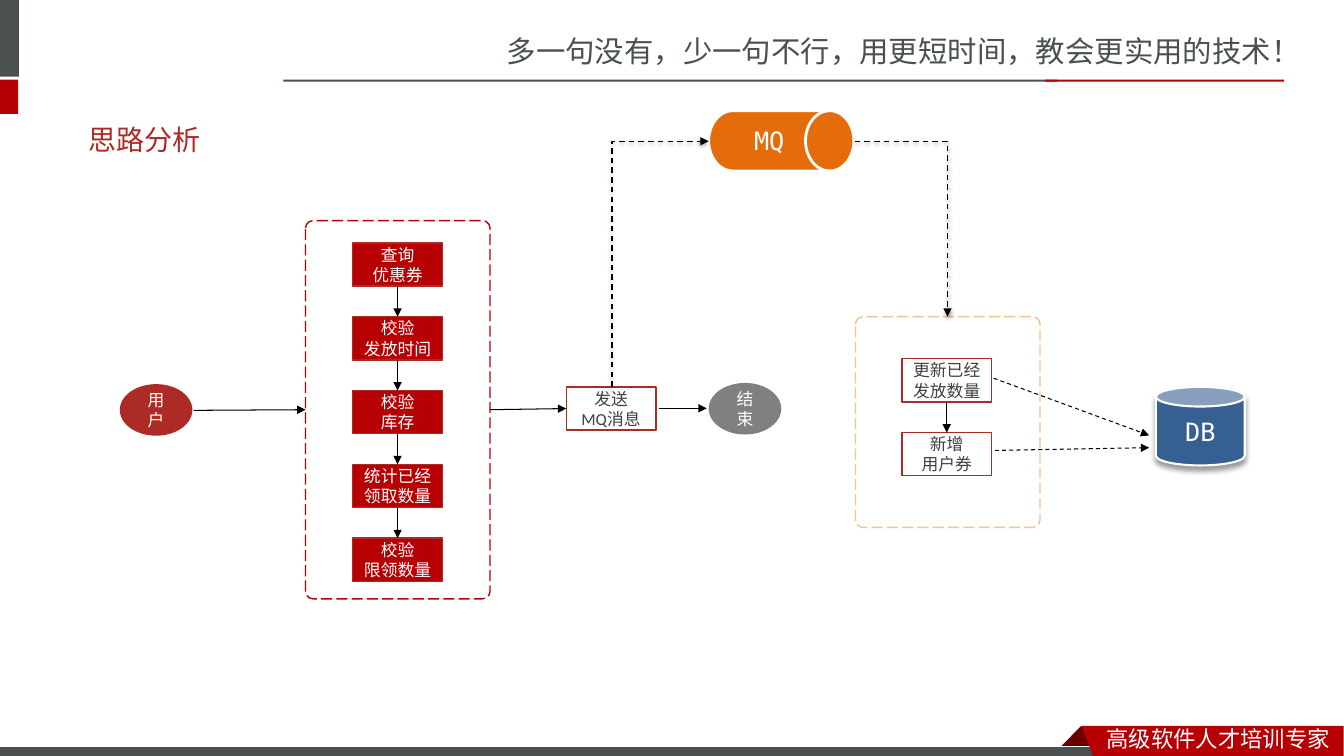
"""Build the coupon-claiming flow slide with its message queue and database."""
from dataclasses import dataclass
from typing import Optional

import lxml.etree
import pptx
import pptx.dml.color
import pptx.enum.dml
import pptx.enum.shapes
import pptx.enum.text
import pptx.oxml.ns
import pptx.util

Cm = pptx.util.Cm
Pt = pptx.util.Pt
RGBColor = pptx.dml.color.RGBColor
Shape = pptx.enum.shapes.MSO_SHAPE
Dash = pptx.enum.dml.MSO_LINE
Align = pptx.enum.text.PP_ALIGN
Middle = pptx.enum.text.MSO_ANCHOR.MIDDLE
qn = pptx.oxml.ns.qn

BLACK = RGBColor(0x00, 0x00, 0x00)
WHITE = RGBColor(0xFF, 0xFF, 0xFF)
SLATE = RGBColor(0x49, 0x50, 0x4F)
CRIMSON = RGBColor(0xB6, 0x00, 0x04)
DARK_RED = RGBColor(0x68, 0x00, 0x00)
BRICK = RGBColor(0xAD, 0x2B, 0x26)
TITLE_RED = RGBColor(0xAD, 0x2A, 0x26)
CHARCOAL = RGBColor(0x40, 0x40, 0x40)
GRAY = RGBColor(0x80, 0x80, 0x80)
ORANGE = RGBColor(0xE4, 0x6C, 0x0A)
PEACH = RGBColor(0xFA, 0xC0, 0x90)
BLUE = RGBColor(0x37, 0x60, 0x92)

CJK = "Noto Sans CJK SC"
MONO = "DejaVu Sans Mono"
BOX_WIDTH, BOX_HEIGHT = 2.26, 1.09
STEP_LEFT, STEP_TOP, STEP_PITCH = 8.89, 6.12, 1.86

Point = tuple[float, float]


@dataclass(frozen=True)
class Style:
    """Typeface, size and colour of a text."""
    font: str = "Calibri"
    size: float = 12
    color: RGBColor = WHITE


@dataclass(frozen=True)
class Node:
    """A preset shape in centimetres with optional text."""
    kind: Shape
    left: float
    top: float
    width: float
    height: float
    fill: Optional[RGBColor] = None
    line: Optional[RGBColor] = None
    weight: float = 1
    dash: Optional[Dash] = None
    lines: tuple[str, ...] = ()
    style: Style = Style()
    side_margin: float = 0.25
    corner: Optional[float] = None


@dataclass(frozen=True)
class Shadow:
    """A downward outer shadow: opacity in percent, lengths in points."""
    opacity: int
    blur: float
    distance: float


def write(frame, lines: tuple[str, ...], style: Style, align=Align.LEFT) -> None:
    """Fill a text frame with uniformly formatted paragraphs."""
    frame.word_wrap = True
    for index, text in enumerate(lines):
        paragraph = frame.add_paragraph() if index else frame.paragraphs[0]
        paragraph.text = text
        paragraph.alignment = align
        paragraph.font.size = Pt(style.size)
        paragraph.font.color.rgb = style.color
        paragraph.font.name = style.font
        defaults = paragraph._p.pPr.find(qn("a:defRPr"))
        lxml.etree.SubElement(defaults, qn("a:ea"), typeface=CJK)


def cast_shadow(effects, shadow: Shadow) -> None:
    """Put a black outer shadow into an effect list."""
    outer = lxml.etree.SubElement(
        effects, qn("a:outerShdw"), blurRad=str(Pt(shadow.blur)),
        dist=str(Pt(shadow.distance)), dir="5400000", rotWithShape="0")
    color = lxml.etree.SubElement(outer, qn("a:srgbClr"), val=str(BLACK))
    lxml.etree.SubElement(color, qn("a:alpha"), val=str(shadow.opacity * 1000))


def paint(shape, fill: Optional[RGBColor], line: Optional[RGBColor] = None, weight: float = 1) -> None:
    """Set fill and outline, without a shadow."""
    shape.shadow.inherit = False
    if fill is None:
        shape.fill.background()
    else:
        shape.fill.solid()
        shape.fill.fore_color.rgb = fill
    if line is None:
        shape.line.fill.background()
    else:
        shape.line.color.rgb = line
        shape.line.width = Pt(weight)


def draw_node(slide, node: Node):
    """Draw one node and return its shape."""
    shape = slide.shapes.add_shape(
        node.kind, Cm(node.left), Cm(node.top), Cm(node.width), Cm(node.height))
    paint(shape, node.fill, node.line, node.weight)
    if node.dash is not None:
        shape.line.dash_style = node.dash
    if node.corner is not None:
        shape.adjustments[0] = node.corner
    if node.lines:
        frame = shape.text_frame
        frame.vertical_anchor = Middle
        frame.margin_left = frame.margin_right = Cm(node.side_margin)
        write(frame, node.lines, node.style, Align.CENTER)
    return shape


def task(left: float, top: float, lines: tuple[str, ...], fill: Optional[RGBColor] = None,
         style: Style = Style(color=CHARCOAL)) -> Node:
    """Describe a two-line process box."""
    return Node(Shape.RECTANGLE, left, top, BOX_WIDTH, BOX_HEIGHT, fill, BRICK,
                lines=lines, style=style, side_margin=0)


def draw_outline(slide, points: list[Point], fill: RGBColor) -> None:
    """Draw a closed polygon."""
    start, *rest = [(Cm(x), Cm(y)) for x, y in points]
    builder = slide.shapes.build_freeform(*start)
    builder.add_line_segments(rest, close=True)
    paint(builder.convert_to_shape(), fill)


def draw_label(slide, left: float, top: float, width: float, height: float, text: str, style: Style) -> None:
    """Draw a one-line text box."""
    box = slide.shapes.add_textbox(Cm(left), Cm(top), Cm(width), Cm(height))
    write(box.text_frame, (text,), style)


def draw_arrow(slide, start: Point = (0, 0), end: Point = (0, 0), source=None, target=None,
               weight: float = 0.75, dash: Optional[Dash] = None, bent: bool = False,
               shadow: Optional[Shadow] = None):
    """Draw an arrow; source and target are (shape, site) pairs to join."""
    route = pptx.enum.shapes.MSO_CONNECTOR
    arrow = slide.shapes.add_connector(
        route.ELBOW if bent else route.STRAIGHT, *(Cm(value) for value in start + end))
    if source:
        arrow.begin_connect(*source)
    if target:
        arrow.end_connect(*target)
    arrow.line.color.rgb = BLACK
    arrow.line.width = Pt(weight)
    if dash is not None:
        arrow.line.dash_style = dash
    properties = arrow._element.spPr
    lxml.etree.SubElement(properties.find(qn("a:ln")), qn("a:tailEnd"), type="triangle")
    effects = lxml.etree.SubElement(properties, qn("a:effectLst"))
    if shadow:
        cast_shadow(effects, shadow)
    if bent:
        properties.find(qn("a:prstGeom")).set("prst", "bentConnector2")
    return arrow


def draw_rising_elbow(slide, start: Point, end: Point, **look) -> None:
    """Draw an elbow arrow that goes up first and then right."""
    middle_x, middle_y = (start[0] + end[0]) / 2, (start[1] + end[1]) / 2
    half_run, half_rise = (end[0] - start[0]) / 2, (start[1] - end[1]) / 2
    arrow = draw_arrow(slide, (middle_x - half_rise, middle_y - half_run),
                       (middle_x + half_rise, middle_y + half_run), bent=True, **look)
    arrow._element.spPr.find(qn("a:xfrm")).set("rot", "16200000")


def draw_template(slide) -> None:
    """Draw the header, the footer and the title."""
    draw_label(slide, 12.52, 0.71, 21.36, 1.19,
               "多一句没有，少一句不行，用更短时间，教会更实用的技术！", Style(CJK, 21, SLATE))
    for left, top, width, height, fill in (
            (-0.15, 0, 0.63, 1.93, SLATE), (-0.15, 2.01, 0.61, 0.86, CRIMSON),
            (7.14, 2.01, 19.5, 0.05, SLATE), (26.34, 2.01, 6.02, 0.05, CRIMSON)):
        draw_node(slide, Node(Shape.RECTANGLE, left, top, width, height, fill))
    draw_outline(slide, [(27.25, 18.29), (27.81, 18.85), (27.79, 18.87), (26.72, 18.87), (26.7, 18.85)], DARK_RED)
    draw_node(slide, Node(Shape.RECTANGLE, -0.03, 18.82, 27.94, 0.3, SLATE, WHITE, 0.75))
    draw_outline(slide, [(27.25, 18.29), (33.86, 18.29), (33.86, 19.15), (27.58, 19.13)], CRIMSON)
    draw_label(slide, 27.64, 18.16, 6.22, 0.94, "高级软件人才培训专家", Style(CJK, 16))
    title = slide.shapes.title
    title.left, title.top, title.width, title.height = Cm(1.98), Cm(2.79), Cm(29.72), Cm(1.45)
    title.text_frame.vertical_anchor = Middle
    write(title.text_frame, ("思路分析",), Style("Lato", 20, TITLE_RED))


def draw_flow(slide) -> None:
    """Draw the flow from the user to the database."""
    draw_node(slide, Node(Shape.OVAL, 3.02, 9.68, 1.83, 1.3, BRICK, lines=("用户",)))
    draw_node(slide, Node(Shape.OVAL, 17.86, 9.65, 1.83, 1.3, GRAY, lines=("结束",)))
    checks = draw_node(slide, Node(Shape.ROUNDED_RECTANGLE, 7.7, 5.56, 4.65, 9.53,
                                   line=CRIMSON, dash=Dash.LONG_DASH, corner=0.04))
    draw_node(slide, Node(Shape.ROUNDED_RECTANGLE, 21.56, 7.98, 4.65, 5.31,
                          line=PEACH, dash=Dash.LONG_DASH, corner=0.04))
    labels = (("查询", "优惠券"), ("校验", "发放时间"), ("校验", "库存"),
              ("统计已经", "领取数量"), ("校验", "限领数量"))
    steps = [draw_node(slide, task(STEP_LEFT, STEP_TOP + index * STEP_PITCH, lines, CRIMSON,
                                   Style(MONO if index == 4 else "Calibri")))
             for index, lines in enumerate(labels)]
    send = draw_node(slide, task(14.27, 9.75, ("发送", "MQ消息")))
    update = draw_node(slide, task(22.73, 9.04, ("更新已经", "发放数量")))
    insert = draw_node(slide, task(22.73, 10.9, ("新增", "用户券")))
    draw_node(slide, Node(Shape.FLOWCHART_DIRECT_ACCESS_STORAGE, 17.86, 2.79, 3.66, 1.52,
                          ORANGE, WHITE, 2, lines=("MQ",), style=Style(MONO, 18)))
    database = draw_node(slide, Node(Shape.CAN, 29.13, 9.75, 2.24, 1.98, BLUE, WHITE, 1.5,
                                     lines=("DB",), style=Style(MONO, 18)))
    cast_shadow(database._element.spPr.find(qn("a:effectLst")), Shadow(40, 4, 3))

    for upper, lower in [*zip(steps, steps[1:]), (update, insert)]:
        draw_arrow(slide, source=(upper, 2), target=(lower, 0))
    draw_arrow(slide, start=(4.88, 10.34), target=(checks, 1))
    draw_arrow(slide, source=(checks, 3), target=(send, 1))
    draw_arrow(slide, (16.61, 10.29), (17.81, 10.29))
    draw_arrow(slide, (25.04, 9.53), (28.96, 10.97), dash=Dash.DASH)
    draw_arrow(slide, (25.07, 11.35), (28.96, 11.28), dash=Dash.DASH)
    message = dict(weight=1, dash=Dash.DASH, shadow=Shadow(38, 3.1, 1.6))
    draw_rising_elbow(slide, (15.42, 9.75), (17.86, 3.56), **message)
    draw_arrow(slide, (21.54, 3.56), (23.88, 7.98), bent=True, **message)


def main() -> None:
    """Build and save the presentation."""
    deck = pptx.Presentation()
    deck.slide_width, deck.slide_height = Cm(33.87), Cm(19.05)
    slide = deck.slides.add_slide(deck.slide_layouts[5])
    draw_template(slide)
    draw_flow(slide)
    deck.save("out.pptx")


if __name__ == "__main__":
    main()
